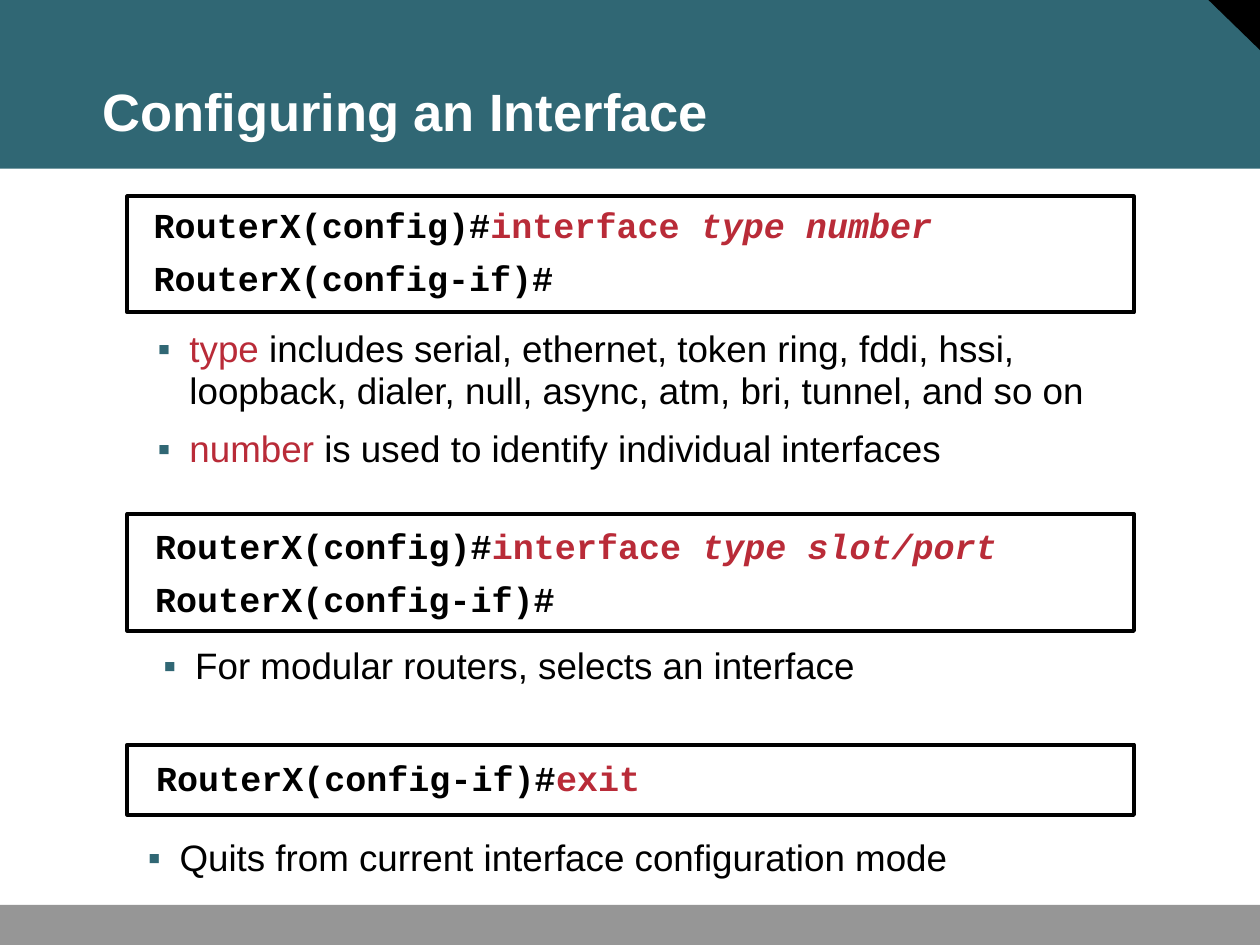
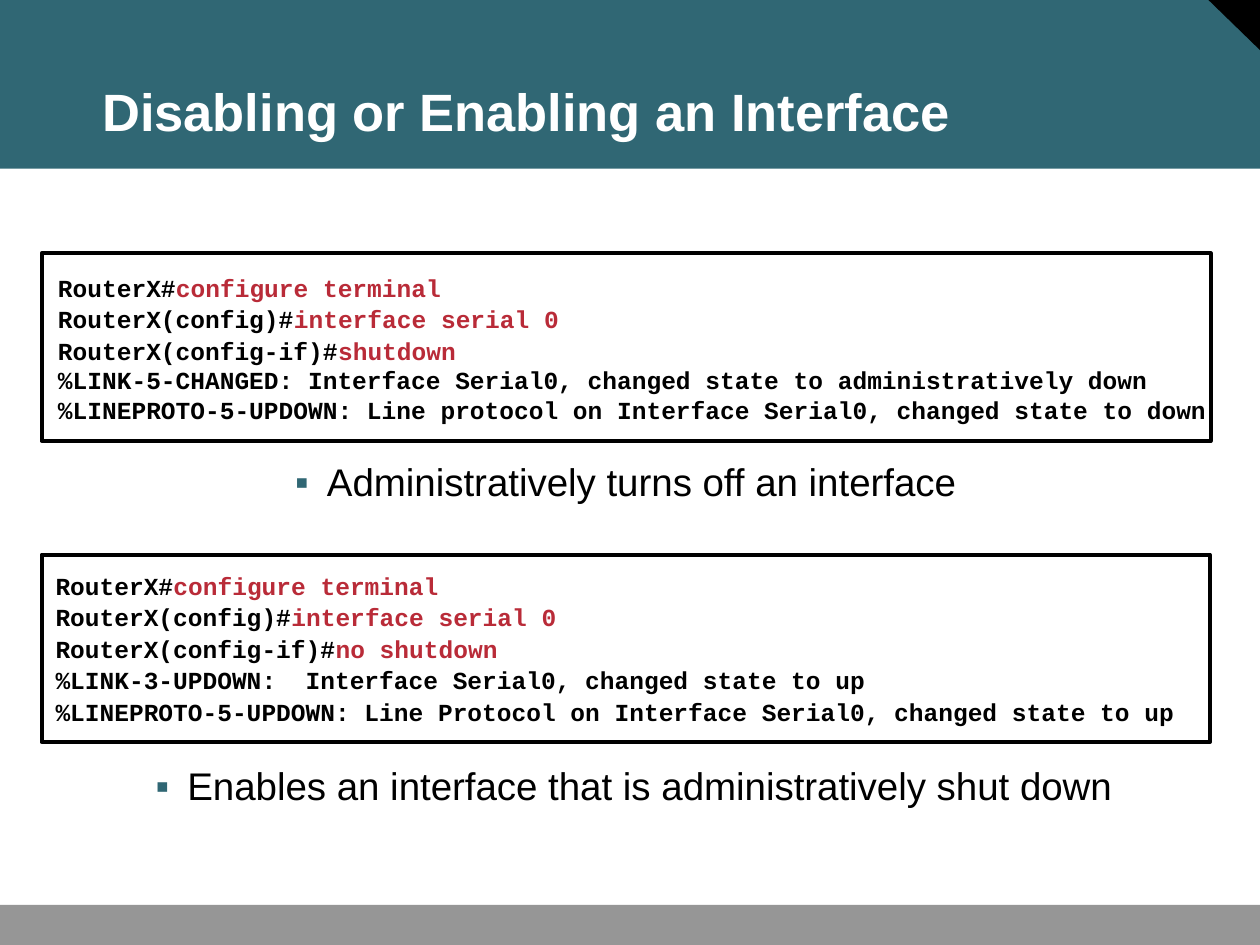
"""Build two slides on configuring, disabling and enabling a router interface."""
from lxml import etree
from pptx import Presentation
from pptx import util as u
from pptx.dml.color import RGBColor
from pptx.enum import shapes, text
from pptx.oxml import ns

TEAL = RGBColor(0x30, 0x67, 0x74)
GREY = RGBColor(0x96, 0x96, 0x96)
RED = RGBColor(0xB9, 0x2B, 0x38)
BLACK = RGBColor(0, 0, 0)
WHITE = RGBColor(255, 255, 255)
SANS, MONO = "Arial", "Courier New"
CODE = [(BLACK, False), (RED, False), (RED, True)]
LIST = [(RED, False), (BLACK, False)]
LEFT, MID = text.PP_ALIGN.LEFT, text.PP_ALIGN.CENTER
TOP, HALF = text.MSO_ANCHOR.TOP, text.MSO_ANCHOR.MIDDLE
RECT = shapes.MSO_SHAPE.RECTANGLE

SLIDES = [
    {"title": "Configuring an Interface", "code": 20, "list": 21, "gap": 9.1, "anchor": TOP,
     "blocks": [
         {"frame": (2.57, 3.96, 20.29, 2.34), "code": (3.05, 4.24, 14.96, 1.75),
          "pad": (0.05, 0.08), "space": 6, "fixed": 2,
          "lines": ["RouterX(config)#|interface |type number", "RouterX(config-if)#"],
          "list": (2.57, 6.48, 20.29, 3.15), "inset": (0.28, 0.15), "align": LEFT, "indent": 0.97,
          "items": ["type| includes serial, ethernet, token ring, fddi, hssi, loopback, "
                    "dialer, null, async, atm, bri, tunnel, and so on",
                    "number| is used to identify individual interfaces"]},
         {"frame": (2.57, 10.36, 20.29, 2.36), "code": (3.05, 10.69, 18.01, 1.27),
          "pad": (0.08, 0.1), "space": 6, "fixed": 2,
          "lines": ["RouterX(config)#|interface |type slot/port", "RouterX(config-if)#"],
          "list": (2.57, 12.93, 15.06, 0.91), "inset": (0.08, 0.1), "align": MID, "indent": 0.97,
          "items": ["|For modular routers, selects an interface"]},
         {"frame": (2.57, 15.01, 20.29, 1.42), "code": (3.07, 15.37, 10.31, 0.86),
          "pad": (0.08, 0.1), "space": 0, "fixed": 1,
          "lines": ["RouterX(config-if)#|exit"],
          "list": (2.57, 16.79, 20.29, 1.3), "inset": (0.08, 0.1), "align": LEFT, "indent": 0.97,
          "items": ["|Quits from current interface configuration mode"]},
     ]},
    {"title": "Disabling or Enabling an Interface", "code": 14, "list": 22, "gap": 9.6,
     "anchor": HALF,
     "blocks": [
         {"frame": (0.84, 5.11, 23.57, 3.78), "code": (1.12, 5.38, 15.19, 2.82),
          "pad": (0.05, 0.08), "space": 0, "fixed": 3,
          "lines": ["RouterX#|configure terminal", "RouterX(config)#|interface serial 0",
                    "RouterX(config-if)#|shutdown",
                    "%LINK-5-CHANGED: Interface Serial0, changed state to administratively down",
                    "%LINEPROTO-5-UPDOWN: Line protocol on Interface Serial0, "
                    "changed state to down"],
          "list": (0.84, 8.99, 23.55, 1.52), "inset": (0.23, 0.1), "align": MID, "indent": 0.64,
          "items": ["|Administratively turns off an interface"]},
         {"frame": (0.84, 11.18, 23.55, 3.78), "code": (1.07, 11.38, 17.4, 3.84),
          "pad": (0.05, 0.08), "space": 0, "fixed": 5,
          "lines": ["RouterX#|configure terminal", "RouterX(config)#|interface serial 0",
                    "RouterX(config-if)#|no shutdown",
                    "%LINK-3-UPDOWN:  Interface Serial0, changed state to up",
                    "%LINEPROTO-5-UPDOWN: Line Protocol on Interface Serial0, "
                    "changed state to up"],
          "list": (0.84, 15.06, 23.55, 1.63), "inset": (0.23, 0.1), "align": MID, "indent": 0.97,
          "items": ["|Enables an interface that is administratively shut down"]},
     ]},
]


def place(box, spot, pad, anchor, wrap):
    """Move a text shape and set its margins; return its text frame."""
    box.left, box.top, box.width, box.height = map(u.Cm, spot)
    frame = box.text_frame
    frame.margin_left = frame.margin_right = u.Cm(pad[0])
    frame.margin_top = frame.margin_bottom = u.Cm(pad[1])
    frame.auto_size = text.MSO_AUTO_SIZE.NONE
    frame.vertical_anchor, frame.word_wrap = anchor, wrap
    return frame


def write(frame, lines, looks, font, size, bold):
    """Write lines whose parts, split by a bar, take the looks in turn."""
    frame.text = "\n".join([""] * len(lines))
    for par, line in zip(frame.paragraphs, lines):
        for part, (ink, slant) in zip(line.split("|"), looks):
            if part:
                run = par.add_run()
                run.text = part
                run.font.name, run.font.size = font, u.Pt(size)
                run.font.bold, run.font.italic = bold, slant
                run.font.color.rgb = ink
    return frame.paragraphs


prs = Presentation()
prs.slide_width, prs.slide_height = u.Cm(25.4), u.Cm(19.05)
layout = prs.slide_layouts.get_by_name("Comparison")

for page in SLIDES:
    slide = prs.slides.add_slide(layout)
    title, *slots = slide.placeholders

    if page is SLIDES[0]:
        bands = [(RECT, TEAL, 0, (0, 0, 25.4, 3.4)),
                 (shapes.MSO_SHAPE.RIGHT_TRIANGLE, BLACK, 180, (24.33, -0.03, 1.07, 1.04)),
                 (RECT, GREY, 0, (0, 18.24, 25.4, 0.84))]
        for at, (kind, ink, turn, spot) in enumerate(bands, 2):
            band = slide.shapes.add_shape(kind, *map(u.Cm, spot))
            band.rotation = turn
            band.shadow.inherit = False
            band.fill.solid()
            band.fill.fore_color.rgb = ink
            band.line.fill.background()
            layout.shapes.element.insert(at, band.element)

    head = place(title, (1.83, 0.64, 22.63, 2.34), (0.23, 0.1), text.MSO_ANCHOR.BOTTOM, True)
    par = write(head, [page["title"]], [(WHITE, False)], SANS, 30, True)[0]
    par.alignment, par.line_spacing = LEFT, 0.9

    for block, slot in zip(page["blocks"], slots):
        box = slide.shapes.add_shape(RECT, *map(u.Cm, block["frame"]))
        box.shadow.inherit = False
        box.fill.solid()
        box.fill.fore_color.rgb = WHITE
        box.line.color.rgb, box.line.width = BLACK, u.Pt(2.25)

        code = slide.shapes.add_textbox(*map(u.Cm, block["code"]))
        frame = place(code, block["code"], block["pad"], TOP, False)
        pars = write(frame, block["lines"], CODE, MONO, page["code"], True)
        for row, par in enumerate(pars):
            par.alignment = LEFT
            par.line_spacing = u.Pt(18) if row < block["fixed"] else 1.0
            par.space_before = par.space_after = u.Pt(block["space"])

        frame = place(slot, block["list"], block["inset"], page["anchor"], True)
        for par in write(frame, block["items"], LIST, SANS, page["list"], False):
            par.alignment, par.line_spacing = block["align"], 0.95
            par.space_before, par.space_after = u.Pt(page["gap"]), u.Pt(0)
            props = par._p.get_or_add_pPr()
            props.set("marL", str(u.Cm(block["indent"])))
            props.set("indent", str(u.Cm(-0.64)))
            tint = etree.SubElement(props, ns.qn("a:buClr"))
            etree.SubElement(tint, ns.qn("a:srgbClr"), val=str(TEAL))
            etree.SubElement(props, ns.qn("a:buFont"), typeface=SANS)
            etree.SubElement(props, ns.qn("a:buChar"), char="▪")

    for slot in slots[len(page["blocks"]):]:
        slot.element.getparent().remove(slot.element)

prs.save("out.pptx")
